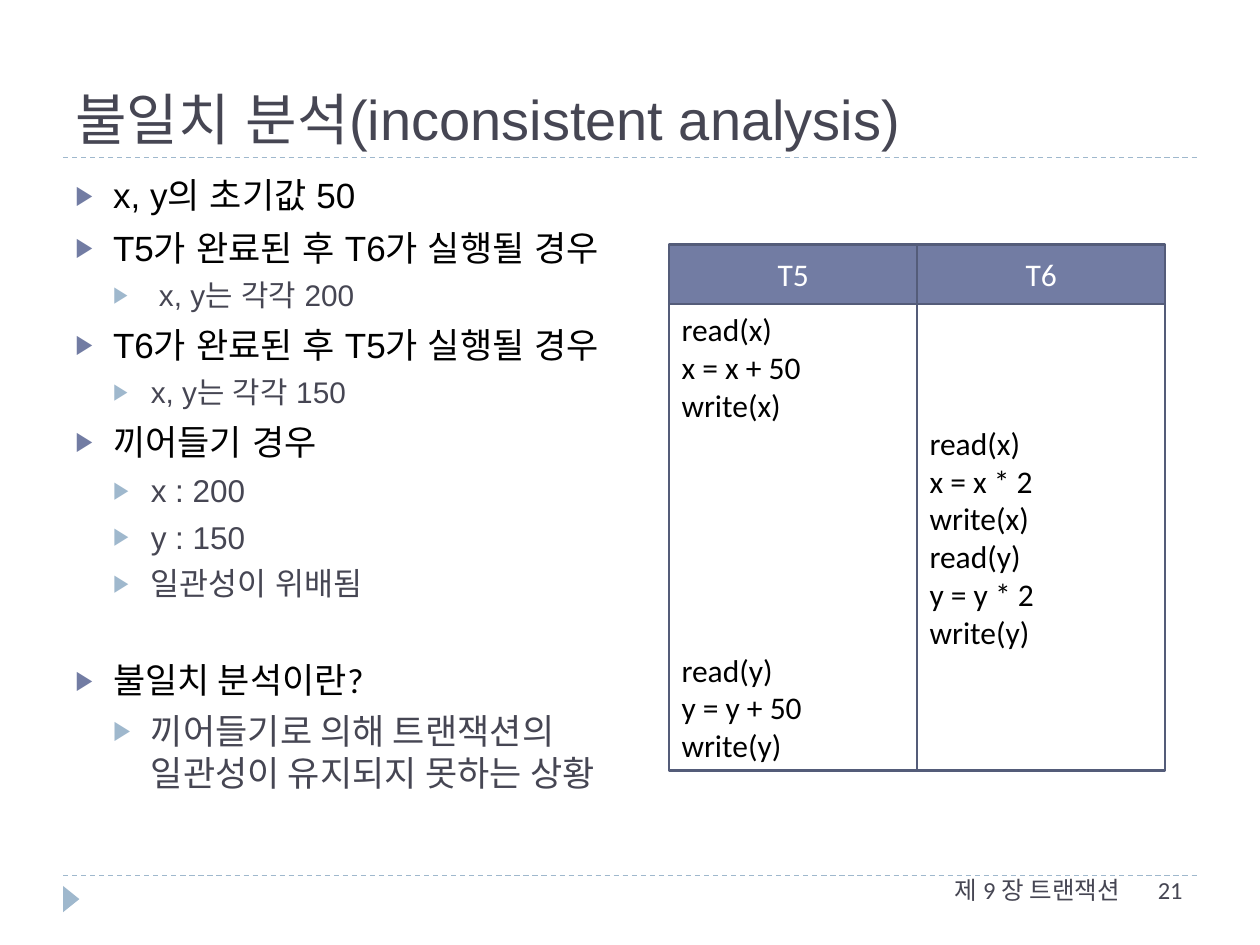
import pptx
import pptx.util
import pptx.dml.color
import pptx.enum.dml
import pptx.enum.shapes
import pptx.enum.text
import pptx.oxml
import pptx.oxml.ns
import lxml.etree

Cm, Pt = pptx.util.Cm, pptx.util.Pt
RGB = pptx.dml.color.RGBColor
ALIGN = pptx.enum.text.PP_ALIGN
ANCHOR = pptx.enum.text.MSO_ANCHOR
SHAPE = pptx.enum.shapes.MSO_SHAPE

INK = RGB(0x46, 0x46, 0x53)
BLACK = RGB(0, 0, 0)
WHITE = RGB(255, 255, 255)
VIOLET = RGB(0x72, 0x7C, 0xA3)
SKY = RGB(0x9F, 0xB8, 0xCD)
EDGE = RGB(0x54, 0x5C, 0x79)

# Level, text, size, font, space before
POINTS = [
    (0, "x, y의 초기값 50", 20, "Arial", 0),
    (0, "T5가 완료된 후 T6가 실행될 경우", 20, "Arial", 6),
    (1, " x, y는 각각 200", 17, "Arial", 5),
    (0, "T6가 완료된 후 T5가 실행될 경우", 20, "Arial", 6),
    (1, "x, y는 각각 150", 17, "Arial", 5),
    (0, "끼어들기 경우", 20, "Arial", 6),
    (1, "x : 200", 18, "Arial", 5),
    (1, "y : 150", 18, "Arial", 5),
    (1, "일관성이 위배됨", 18, "Arial", 5),
    (0, "불일치 분석이란?", 20, "Calibri", 32.5),
    (1, "끼어들기로 의해 트랜잭션의 일관성이 유지되지 못하는 상황", 20, "Calibri", 5),
]

# Steps of each transaction; a step that waits skips some lines
PITCH = 21.6
STEPS = {
    "T5": [("read(x)", 0), ("x = x + 50", 0), ("write(x)", 0),
           ("read(y)", 6), ("y = y + 50", 0), ("write(y)", 0)],
    "T6": [("read(x)", 0), ("x = x * 2", 0), ("write(x)", 0),
           ("read(y)", 0), ("y = y * 2", 0), ("write(y)", 0)],
}


def add_node(parent, tag, **attrs):
    node = lxml.etree.SubElement(parent, pptx.oxml.ns.qn(tag))
    for key, value in attrs.items():
        node.set(key, str(value))
    return node


def add_text(frame, text, size=18, font="Calibri", color=INK,
             align=ALIGN.LEFT, before=0, pitch=None, level=None):
    """Write one paragraph; a level gives it a bullet and an indent."""
    first = frame.paragraphs[0]
    para = frame.add_paragraph() if first.runs else first
    if level is not None:
        props = para._p.get_or_add_pPr()
        step = Cm(0.76)
        props.set("marL", str(step * (level + 1)))
        props.set("indent", str(-step))
        tint = add_node(props, "a:buClr")
        add_node(tint, "a:srgbClr", val=SKY if level else VIOLET)
        add_node(props, "a:buSzPct", val=76000)
        add_node(props, "a:buFont", typeface="Arial")
        add_node(props, "a:buChar", char="▶")
        para.level = level
    para.alignment = align
    if before:
        para.space_before = Pt(before)
    if pitch:
        para.line_spacing = Pt(pitch)
    run = para.add_run()
    run.text = text
    run.font.size = Pt(size)
    run.font.color.rgb = color
    run.font.name = font
    add_node(run.font._element, "a:ea", typeface=font)


def add_box(slide, left, top, width, height, anchor=ANCHOR.TOP):
    box = slide.shapes.add_textbox(Cm(left), Cm(top), Cm(width), Cm(height))
    box.text_frame.word_wrap = True
    box.text_frame.vertical_anchor = anchor
    return box.text_frame


def add_shape(slide, kind, left, top, width, height, fill=None, edge=None):
    shape = slide.shapes.add_shape(
        kind, Cm(left), Cm(top), Cm(width), Cm(height))
    shape.shadow.inherit = False
    if fill is None:
        shape.fill.background()
    else:
        shape.fill.solid()
        shape.fill.fore_color.rgb = fill
    if edge is None:
        shape.line.fill.background()
    else:
        shape.line.color.rgb = edge
        shape.line.width = Pt(1.5)
    shape.text_frame.vertical_anchor = ANCHOR.MIDDLE
    return shape


def add_rule(slide, left, top, width):
    rule = slide.shapes.add_connector(
        pptx.enum.shapes.MSO_CONNECTOR.STRAIGHT,
        Cm(left), Cm(top), Cm(left + width), Cm(top))
    rule.line.color.rgb = SKY
    rule.line.width = Pt(0.75)
    rule.line.dash_style = pptx.enum.dml.MSO_LINE.DASH
    add_node(rule._element.spPr, "a:effectLst")


def add_head(slide, left, top, width, height):
    frame = add_box(slide, left, top, width, height, ANCHOR.BOTTOM)
    add_text(frame, "불일치 분석(inconsistent analysis)", size=32, font="Arial")
    add_rule(slide, left, top + height, width)


def add_list(slide, left, top, width, height):
    frame = add_box(slide, left, top, width, height)
    for level, text, size, font, before in POINTS:
        add_text(frame, text, size=size, font=font, before=before,
                 color=INK if level else BLACK, level=level)


def add_steps(slide, left, top, width, height):
    """Place one headed panel for each transaction, side by side."""
    head, wide = 1.2, width / len(STEPS)
    for col, (name, steps) in enumerate(STEPS.items()):
        x = left + col * wide
        title = add_shape(slide, SHAPE.RECTANGLE, x, top, wide, head,
                          fill=VIOLET, edge=EDGE)
        add_text(title.text_frame, name, color=WHITE, align=ALIGN.CENTER)
        body = add_shape(slide, SHAPE.RECTANGLE, x, top + head, wide,
                         height - head, edge=EDGE)
        for text, skip in steps:
            add_text(body.text_frame, text, color=BLACK,
                     before=skip * PITCH, pitch=PITCH)


def add_foot(slide, left, top, width):
    add_rule(slide, left, top, width)
    # Corner arrow, turned to point right
    mark = add_shape(slide, SHAPE.ISOSCELES_TRIANGLE,
                     left - 0.1, top + 0.31, 0.53, 0.33, fill=SKY)
    mark.rotation = 90
    # Chapter and page number
    chapter = add_box(slide, left + 11.91, top - 0.13, 9.65, 1.02)
    add_text(chapter, "제 9 장 트랜잭션", size=14, align=ALIGN.RIGHT)
    page = add_box(slide, left + 21.82, top - 0.13, 1.8, 1.02)
    add_text(page, "21", size=14)


def main():
    deck = pptx.Presentation()
    deck.slide_width, deck.slide_height = Cm(25.4), Cm(19.05)
    slide = deck.slides.add_slide(deck.slide_layouts[6])
    add_head(slide, 1.27, 0.43, 22.86, 2.75)
    add_list(slide, 1.27, 3.38, 11.84, 13.72)
    add_steps(slide, 13.49, 4.93, 10, 10.6)
    add_foot(slide, 1.27, 17.65, 22.86)
    deck.save("out.pptx")


if __name__ == "__main__":
    main()
